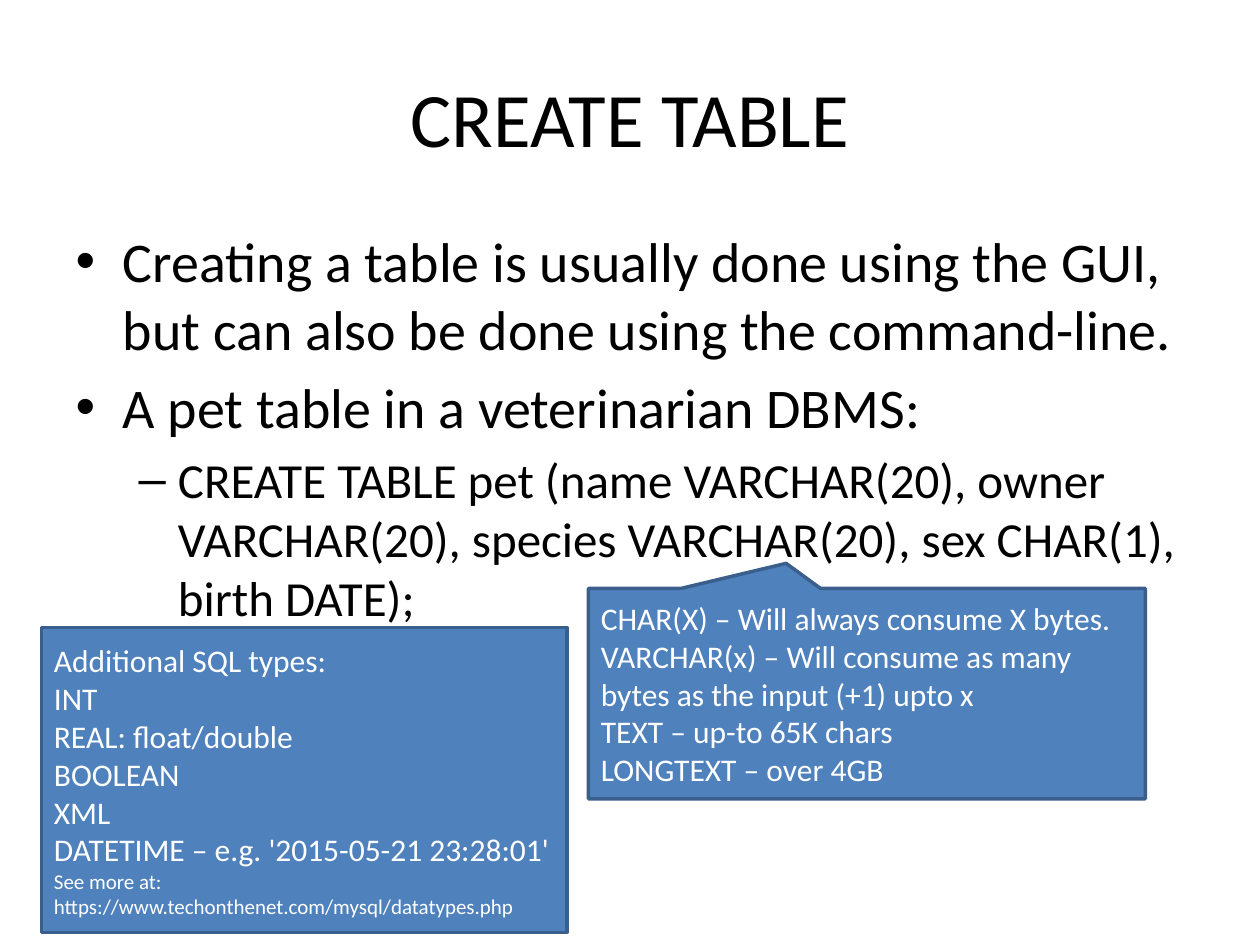
import pptx
import pptx.util
import pptx.dml.color
import pptx.enum.shapes
import pptx.enum.text
from pptx.util import Inches

BLACK = pptx.dml.color.RGBColor(0x00, 0x00, 0x00)
WHITE = pptx.dml.color.RGBColor(0xFF, 0xFF, 0xFF)
BLUE = pptx.dml.color.RGBColor(0x4F, 0x81, 0xBD)
DARK_BLUE = pptx.dml.color.RGBColor(0x3A, 0x5F, 0x8C)
ALIGN = pptx.enum.text.PP_ALIGN
ANCHOR = pptx.enum.text.MSO_ANCHOR
SHAPE = pptx.enum.shapes.MSO_SHAPE


def write(para, text, size=18, color=BLACK, align=ALIGN.LEFT, level=0):
    para.level = level
    para.alignment = align
    span = para.add_run()
    span.text = text
    span.font.name = "Calibri"
    span.font.size = pptx.util.Pt(size)
    span.font.color.rgb = color


def add_note(page, kind, left, top, width, height, lines):
    box = page.shapes.add_shape(kind, Inches(left), Inches(top), Inches(width), Inches(height))
    box.shadow.inherit = False
    box.fill.solid()
    box.fill.fore_color.rgb = BLUE
    box.line.color.rgb = DARK_BLUE
    box.line.width = pptx.util.Pt(2)
    frame = box.text_frame
    frame.word_wrap = True
    frame.vertical_anchor = ANCHOR.MIDDLE
    for index, (text, size) in enumerate(lines):
        para = frame.add_paragraph() if index else frame.paragraphs[0]
        write(para, text, size=size, color=WHITE)
    return box


deck = pptx.Presentation()
deck.slide_width = Inches(10)
deck.slide_height = Inches(7.5)
page = deck.slides.add_slide(deck.slide_layouts[1])

title = page.shapes.title
title.left, title.top, title.width, title.height = Inches(0.5), Inches(0.3), Inches(9), Inches(1.25)
title.text_frame.vertical_anchor = ANCHOR.MIDDLE
write(title.text_frame.paragraphs[0], "CREATE TABLE", size=44, align=ALIGN.CENTER)

body = page.placeholders[1]
body.left, body.top, body.width, body.height = Inches(0.5), Inches(1.75), Inches(9), Inches(4.95)
bullets = [
    ("Creating a table is usually done using the GUI, but can also be done using the command-line.", 32, 0),
    ("A pet table in a veterinarian DBMS:", 32, 0),
    ("CREATE TABLE pet (name VARCHAR(20), owner VARCHAR(20), species VARCHAR(20), "
     "sex CHAR(1), birth DATE);", 28, 1),
]
for index, (text, size, level) in enumerate(bullets):
    para = body.text_frame.add_paragraph() if index else body.text_frame.paragraphs[0]
    write(para, text, size=size, level=level)
body.text_frame.paragraphs[0].space_before = pptx.util.Pt(0)

callout = add_note(page, SHAPE.RECTANGULAR_CALLOUT, 4.67, 4.67, 4.42, 1.67, [
    ("CHAR(X) – Will always consume X bytes.", 18),
    ("VARCHAR(x) – Will consume as many bytes as the input (+1) upto x", 18),
    ("TEXT – up-to 65K chars", 18),
    ("LONGTEXT – over 4GB", 18),
])
callout.adjustments[0] = -0.145
callout.adjustments[1] = -0.619

add_note(page, SHAPE.RECTANGLE, 0.33, 4.98, 4.17, 2.42, [
    ("Additional SQL types:", 18),
    ("INT", 18),
    ("REAL: float/double", 18),
    ("BOOLEAN", 18),
    ("XML", 18),
    ("DATETIME – e.g. '2015-05-21 23:28:01'", 18),
    ("See more at: https://www.techonthenet.com/mysql/datatypes.php", 12),
])

deck.save("out.pptx")
